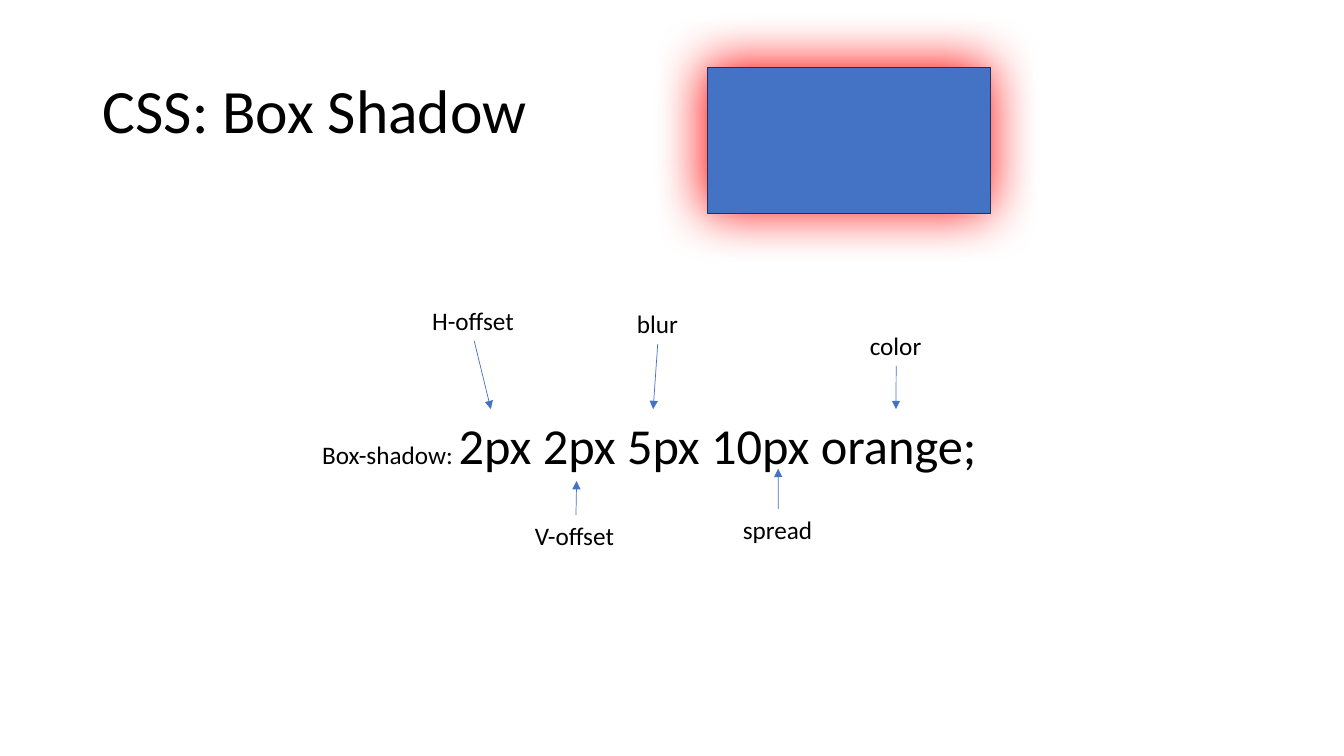
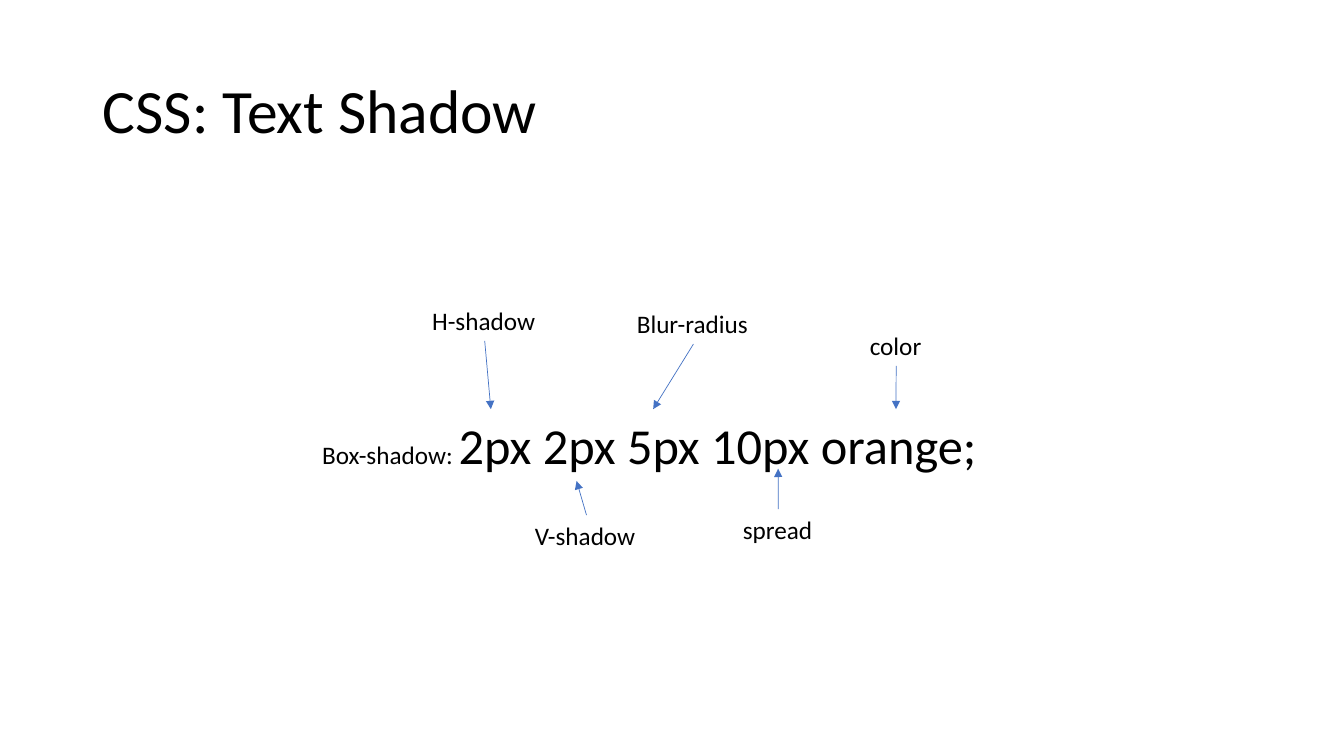
"""Build two slides that explain the values of the CSS shadow properties."""
from lxml.etree import SubElement
from pptx import Presentation
from pptx.dml.color import RGBColor
from pptx.enum.shapes import MSO_CONNECTOR as Connector, MSO_SHAPE as Shape
from pptx.enum.text import MSO_ANCHOR as Anchor, MSO_AUTO_SIZE as AutoSize
from pptx.oxml.ns import qn
from pptx.util import Cm, Pt

FONT = "Calibri"
BLACK, BLUE, NAVY, RED = "000000", "4472C4", "1E3256", "FF0000"
LABEL_HEIGHT = 1.02
BOTTOM, TOP = 2, 0


def color(value):
    return RGBColor.from_string(value)


def add_text(page, left, top, width, height, parts, wrap=False):
    """Add one paragraph made of (text, size) parts and return its box."""
    box = page.shapes.add_textbox(Cm(left), Cm(top), Cm(width), Cm(height))
    frame = box.text_frame
    frame.word_wrap = wrap
    frame.auto_size = AutoSize.NONE if wrap else AutoSize.SHAPE_TO_FIT_TEXT
    para = frame.paragraphs[0]
    para.font.name = FONT
    para.font.color.rgb = color(BLACK)
    for text, size in parts:
        span = para.add_run()
        span.text = text
        span.font.size = Pt(size)
    return box


# Each label: text, left, top, width, arrow side, arrow tip x, arrow tip y
shared_labels = [
    ("spread", 18.47, 12.83, 2.29, TOP, 19.61, 11.81),
    ("color", 21.67, 8.2, 1.83, BOTTOM, 22.58, 10.31),
]
slides = [
    ("CSS: Box Shadow", [("H-offset", 2.62), ("V-offset", 2.57), ("blur", 1.55)]),
    ("CSS: Text Shadow", [("H-shadow", 3.15), ("V-shadow", 3.1), ("Blur-radius", 3.35)]),
]
slots = [
    (10.64, 7.57, BOTTOM, 12.37, 10.31),
    (13.23, 12.98, TOP, 14.53, 12.12),
    (15.8, 7.65, BOTTOM, 16.46, 10.31),
]

deck = Presentation()
deck.slide_width, deck.slide_height = Cm(33.87), Cm(19.05)

for title, names in slides:
    page = deck.slides.add_slide(deck.slide_layouts[6])
    heading = add_text(page, 2.34, 1.02, 29.21, 3.68, [(title, 44)], wrap=True)
    heading.text_frame.vertical_anchor = Anchor.MIDDLE
    heading.text_frame.paragraphs[0].line_spacing = 0.9
    add_text(page, 7.87, 10.31, 17.2, 1.8,
             [("Box-shadow: ", 18), ("2px 2px 5px 10px orange;", 36)])

    labels = [(name, left, top, width, side, tip_x, tip_y)
              for (name, width), (left, top, side, tip_x, tip_y) in zip(names, slots)]
    for name, left, top, width, side, tip_x, tip_y in labels + shared_labels:
        label = add_text(page, left, top, width, LABEL_HEIGHT, [(name, 18)])
        arrow = page.shapes.add_connector(
            Connector.STRAIGHT, Cm(left), Cm(top), Cm(tip_x), Cm(tip_y))
        arrow.begin_connect(label, side)
        arrow.line.color.rgb = color(BLUE)
        arrow.line.width = Pt(0.5)
        SubElement(arrow.line._get_or_add_ln(), qn("a:tailEnd"), type="triangle")
        SubElement(arrow._element.spPr, qn("a:effectLst"))

sample = deck.slides[0].shapes.add_shape(
    Shape.RECTANGLE, Cm(17.83), Cm(1.7), Cm(7.14), Cm(3.68))
sample.shadow.inherit = False
sample.fill.solid()
sample.fill.fore_color.rgb = color(BLUE)
sample.line.color.rgb = color(NAVY)
sample.line.width = Pt(1)
effects = sample._element.spPr.find(qn("a:effectLst"))
glow = SubElement(effects, qn("a:outerShdw"), blurRad=str(Pt(39)), dist=str(Pt(3)),
                  dir=str(225 * 60000), algn="br", rotWithShape="0")
SubElement(glow, qn("a:srgbClr"), val=RED)

deck.save("out.pptx")
